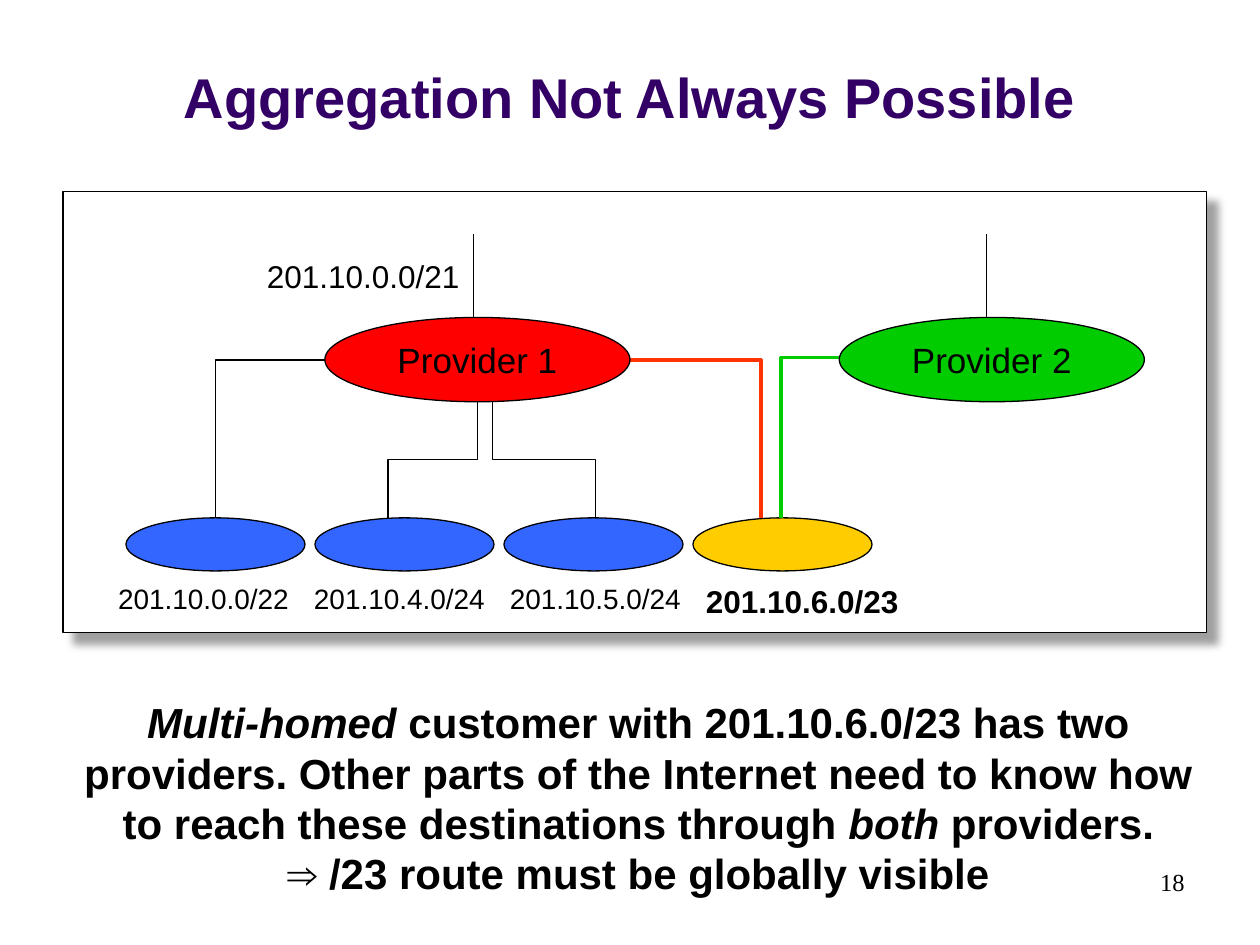
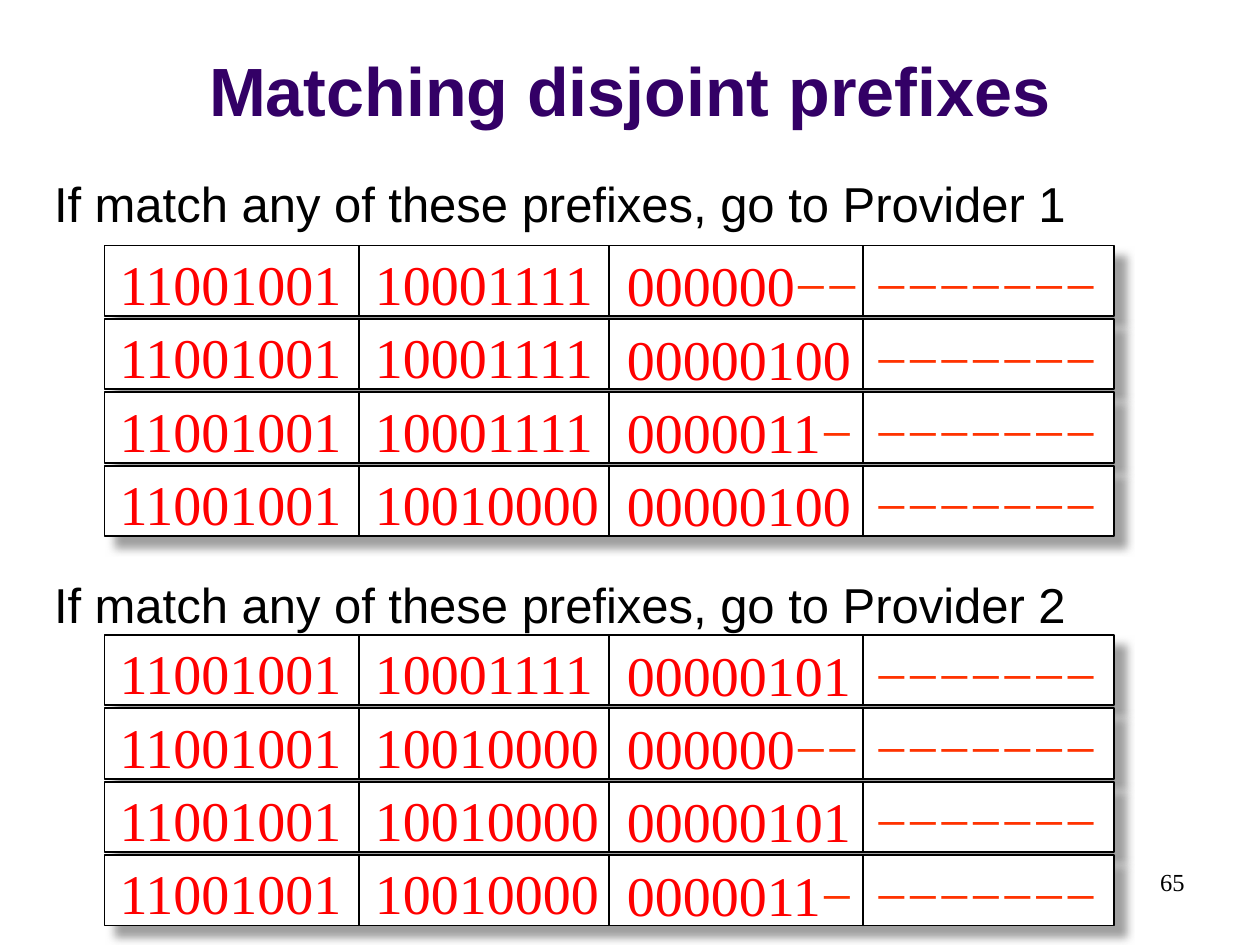
from dataclasses import dataclass

from lxml import etree
from pptx import Presentation
from pptx import util as u
from pptx.dml.color import RGBColor
from pptx.enum import shapes, text
from pptx.oxml import ns


@dataclass(frozen=True)
class Theme:
    sans: str = "Arial"
    serif: str = "Times New Roman"
    title: str = "330066"
    ink: str = "000000"
    paper: str = "FFFFFF"
    shadow: str = "808080"
    red: str = "FF0000"
    orange: str = "FF3300"
    green: str = "00CC00"
    blue: str = "3366FF"
    yellow: str = "FFCC00"
    number_size: int = 14
    site_size: int = 16
    route_size: int = 18
    provider_size: int = 20
    claim_size: int = 24
    heading_size: int = 28
    bits_size: int = 32
    thin: float = 0.75
    frame: float = 1
    thick: float = 2


T = Theme()
LEFT, CENTER, RIGHT = (text.PP_ALIGN.LEFT, text.PP_ALIGN.CENTER, text.PP_ALIGN.RIGHT)


def cm(*lengths):
    return [u.Cm(length) for length in lengths]


def style(paragraph, size, color=T.ink, face=T.sans, bold=False, align=LEFT):
    paragraph.alignment = align
    font = paragraph.font
    font.name, font.size, font.bold = face, u.Pt(size), bold
    font.color.rgb = RGBColor.from_string(color)


def add_text(parts, box, wording, size, anchor=text.MSO_ANCHOR.TOP, **look):
    frame = parts.add_textbox(*cm(*box)).text_frame
    frame.word_wrap = True
    frame.vertical_anchor = anchor
    frame.text = wording
    style(frame.paragraphs[0], size, **look)
    return frame


def add_block(parts, preset, box, fill, weight):
    block = parts.add_shape(preset, *cm(*box))
    block.shadow.inherit = False
    block.fill.solid()
    block.fill.fore_color.rgb = RGBColor.from_string(fill)
    block.line.color.rgb = RGBColor.from_string(T.ink)
    block.line.width = u.Pt(weight)
    return block


def add_panel(parts, box, weight):
    panel = add_block(parts, shapes.MSO_SHAPE.RECTANGLE, box, T.paper, weight)
    effects = panel.element.spPr.find(ns.qn("a:effectLst"))
    outer = etree.SubElement(effects, ns.qn("a:outerShdw"), blurRad=str(u.Pt(5)),
                             dist=str(u.Pt(8.5)), dir="2700000", algn="ctr", rotWithShape="0")
    tint = etree.SubElement(outer, ns.qn("a:srgbClr"), val=T.shadow)
    etree.SubElement(tint, ns.qn("a:alpha"), val="75000")


def add_wire(parts, start, end, color=T.ink, weight=T.thin,
             kind=shapes.MSO_CONNECTOR.STRAIGHT):
    wire = parts.add_connector(kind, *cm(*start, *end))
    wire.line.color.rgb = RGBColor.from_string(color)
    wire.line.width = u.Pt(weight)
    etree.SubElement(wire.element.spPr, ns.qn("a:effectLst"))
    return wire


def add_corner(parts, start, end, color=T.ink, weight=T.thin):
    corner = add_wire(parts, start, end, color, weight, shapes.MSO_CONNECTOR.ELBOW)
    corner.element.spPr.find(ns.qn("a:prstGeom")).set("prst", "bentConnector2")


def add_drop(parts, start, end):
    (x1, y1), (x2, y2) = start, end
    mid_x, mid_y = (x1 + x2) / 2, (y1 + y2) / 2
    half_w, half_h = (y2 - y1) / 2, abs(x2 - x1) / 2
    turn, side = (270, -1) if x2 > x1 else (90, 1)
    drop = add_wire(parts, (mid_x - side * half_w, mid_y - half_h),
                    (mid_x + side * half_w, mid_y + half_h),
                    kind=shapes.MSO_CONNECTOR.ELBOW)
    drop.element.spPr.find(ns.qn("a:xfrm")).set("rot", str(turn * 60000))


def start_slide(deck, title, title_size, number):
    parts = deck.slides.add_slide(deck.slide_layouts[6]).shapes
    add_text(parts, (0, 0.33, 25.4, 2.41), title, title_size, text.MSO_ANCHOR.BOTTOM,
             color=T.title, bold=True, align=CENTER)
    add_text(parts, (18.21, 17.35, 5.92, 1.27), number, T.number_size,
             face=T.serif, align=RIGHT)
    return parts


def add_provider(parts, left, top, name, fill):
    oval = add_block(parts, shapes.MSO_SHAPE.OVAL, (left, top, 6.15, 1.7), fill, T.thin)
    frame = oval.text_frame
    frame.word_wrap = False
    frame.vertical_anchor = text.MSO_ANCHOR.MIDDLE
    frame.text = name
    style(frame.paragraphs[0], T.provider_size, align=CENTER)


def add_network(parts, box):
    left, top, _, _ = box

    def at(x, y):
        return left + x, top + y

    add_panel(parts, box, T.thin)
    add_text(parts, (*at(3.86, 1.19), 4.8, 1.02), "201.10.0.0/21", T.route_size)

    sites = [
        ("201.10.0.0/22", T.blue, T.site_size, False),
        ("201.10.4.0/24", T.blue, T.site_size, False),
        ("201.10.5.0/24", T.blue, T.site_size, False),
        ("201.10.6.0/23", T.yellow, T.route_size, True),
    ]
    site_top = 6.58
    for i, (prefix, fill, size, bold) in enumerate(sites):
        add_block(parts, shapes.MSO_SHAPE.OVAL,
                  (*at(1.27 + 3.81 * i, site_top), 3.61, 1.07), fill, T.thin)
        add_text(parts, (*at(0.86 + 3.95 * i, 7.74), 4.6, 0.94), prefix, size, bold=bold)

    add_corner(parts, at(5.28, 3.4), at(3.07, site_top))
    add_corner(parts, at(11.43, 3.4), at(14.07, site_top), T.orange, T.thick)
    add_corner(parts, at(15.65, 3.35), at(14.48, site_top), T.green, T.thick)
    for start_x, end_x in ((8.36, 6.55), (8.66, 10.74)):
        add_drop(parts, at(start_x, 4.24), at(end_x, site_top))
    for uplink_x in (8.28, 18.62):
        add_wire(parts, at(uplink_x, 2.55), at(uplink_x, 0.86))

    add_provider(parts, *at(5.28, 2.54), "Provider 1", T.red)
    add_provider(parts, *at(15.65, 2.54), "Provider 2", T.green)


def add_claim(parts, box):
    frame = add_text(parts, box, "", T.claim_size, bold=True, align=CENTER)
    reason = frame.paragraphs[0]
    for wording, italic in (
        ("Multi-homed", True),
        (" customer with 201.10.6.0/23 has two providers. Other parts of the Internet "
         "need to know how to reach these destinations through ", False),
        ("both", True),
        (" providers.", False),
    ):
        run = reason.add_run()
        run.text = wording
        run.font.italic = italic
    result = frame.add_paragraph()
    result.text = "⇒ /23 route must be globally visible"
    style(result, T.claim_size, bold=True, align=CENTER)


def add_octet(parts, box, bits):
    fixed = bits.rstrip("−")
    wild = bits[len(fixed):]
    frame = add_text(parts, box, fixed or wild, T.bits_size, face=T.serif,
                     color=T.red if fixed else T.orange)
    if fixed and wild:
        run = frame.paragraphs[0].add_run()
        run.text = wild
        run.font.color.rgb = RGBColor.from_string(T.orange)


def add_prefix(parts, left, top, octets):
    row = parts.add_group_shape().shapes
    width, height = 20.35, 1.42
    add_panel(row, (left, top, width, height), T.frame)
    for divider in (5.13, 10.16, 15.29):
        add_wire(row, (left + divider, top), (left + divider, top + height), weight=T.frame)
    places = ((0.05, -0.05), (5.2, -0.05), (10.28, -0.02), (15.29, -0.02))
    for (x, y), bits in zip(places, octets):
        add_octet(row, (left + x, top + y, 5.6, 1.63), bits)


def add_prefixes(parts, left, top, heading, gap, prefixes):
    for i, (second, third) in enumerate(prefixes):
        add_prefix(parts, left + 1.27, top + gap + 1.48 * i,
                   ("11001001", second, third, "−" * 7))
    add_text(parts, (left, top, 22.4, 1.45), heading, T.heading_size)


def aggregation_slide(deck):
    parts = start_slide(deck, "Aggregation Not Always Possible", 32, "18")
    add_network(parts, (1.27, 3.86, 23.06, 8.89))
    add_claim(parts, (1.3, 13.92, 23.14, 4.32))


def matching_slide(deck):
    parts = start_slide(deck, "Matching disjoint prefixes", 39, "65")
    add_prefixes(parts, 0.84, 3.38, "If match any of these prefixes, go to Provider 1", 1.57, [
        ("10001111", "000000−−"),
        ("10001111", "00000100"),
        ("10001111", "0000011−"),
        ("10010000", "00000100"),
    ])
    add_prefixes(parts, 0.84, 11.46, "If match any of these prefixes, go to Provider 2", 1.34, [
        ("10001111", "00000101"),
        ("10010000", "000000−−"),
        ("10010000", "00000101"),
        ("10010000", "0000011−"),
    ])


def main():
    deck = Presentation()
    deck.slide_width, deck.slide_height = cm(25.4, 19.05)
    aggregation_slide(deck)
    matching_slide(deck)
    deck.save("out.pptx")


if __name__ == "__main__":
    main()
